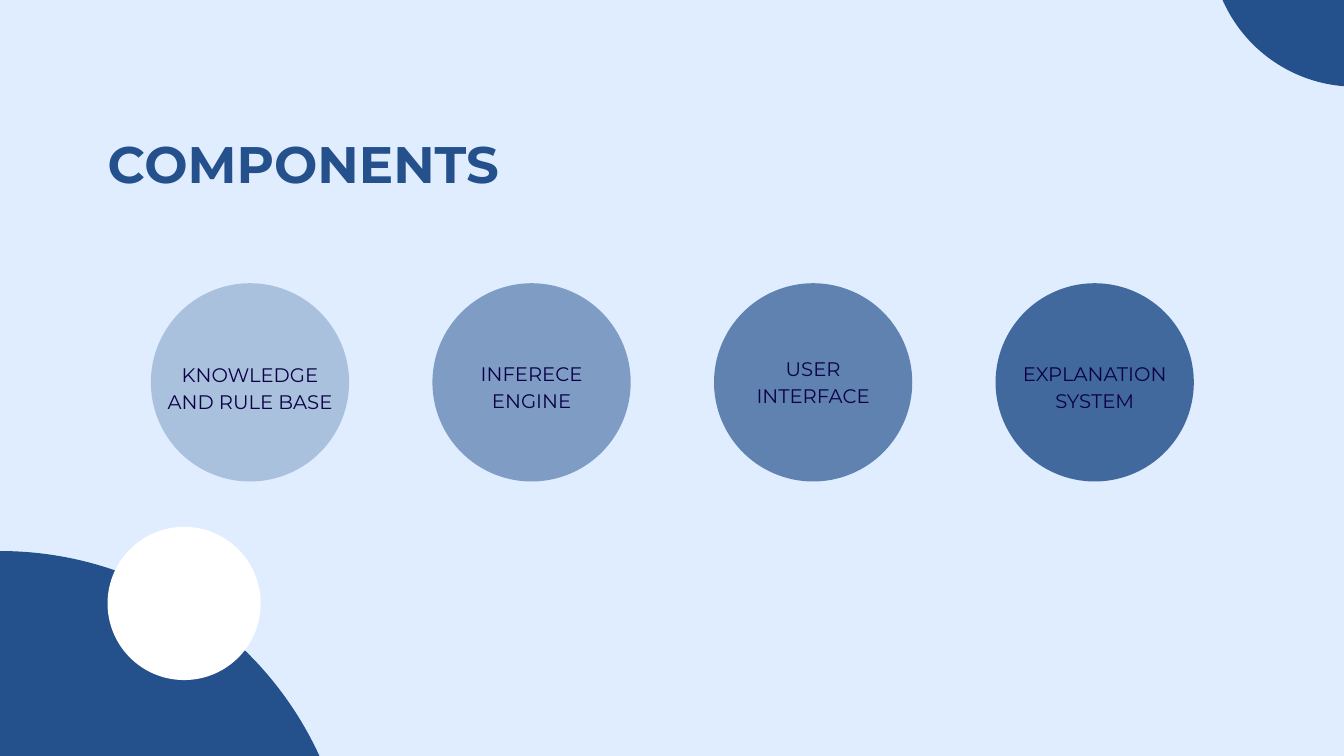
from lxml import etree
from pptx import Presentation, util as u
from pptx.dml.color import RGBColor
from pptx.enum import shapes, text
from pptx.oxml import ns

PALE = RGBColor(0xDF, 0xED, 0xFF)
BLUE = RGBColor(0x24, 0x50, 0x8C)
INK = RGBColor(0x0A, 0x01, 0x47)
WHITE = RGBColor(0xFF, 0xFF, 0xFF)

HEAD = {"size": u.Pt(55), "bold": True, "name": "Montserrat"}
BODY = {"size": u.Pt(21), "bold": False, "name": "Montserrat"}


class Deck:
    def __init__(self, wide, high):
        self.prs = Presentation()
        self.prs.slide_width = u.Inches(wide)
        self.prs.slide_height = u.Inches(high)

    def start(self, back):
        self.slide = self.prs.slides.add_slide(self.prs.slide_layouts[5])
        fill = self.slide.background.fill
        fill.solid()
        fill.fore_color.rgb = back

    def letter(self, frame, words, style, color, lead, align):
        """Set the words in a text frame, with lead as line height in points."""
        frame.word_wrap = True
        frame.auto_size = text.MSO_AUTO_SIZE.NONE
        frame.vertical_anchor = text.MSO_ANCHOR.TOP
        for side in ("left", "top", "right", "bottom"):
            setattr(frame, f"margin_{side}", 0)
        para = frame.paragraphs[0]
        para.alignment = align
        para.line_spacing = u.Pt(lead)
        para.space_before = u.Pt(0)
        run = para.add_run()
        run.text = words
        for key, value in style.items():
            setattr(run.font, key, value)
        run.font.color.rgb = color

    def title(self, words, left, top, wide, high):
        box = self.slide.shapes.title
        box.left, box.top = u.Inches(left), u.Inches(top)
        box.width, box.height = u.Inches(wide), u.Inches(high)
        self.letter(box.text_frame, words, HEAD, BLUE, 66, text.PP_ALIGN.LEFT)

    def label(self, words, mid, top, wide, high=0.8):
        box = self.slide.shapes.add_textbox(
            u.Inches(mid - wide / 2), u.Inches(top), u.Inches(wide), u.Inches(high))
        self.letter(box.text_frame, words, BODY, INK, 29.4, text.PP_ALIGN.CENTER)

    def disc(self, x, y, size, color, alpha=100):
        """Draw a circle centred on x, y; alpha is its opacity in percent."""
        oval = self.slide.shapes.add_shape(
            shapes.MSO_SHAPE.OVAL, u.Inches(x - size / 2), u.Inches(y - size / 2),
            u.Inches(size), u.Inches(size))
        oval.shadow.inherit = False
        oval.line.fill.background()
        oval.fill.solid()
        oval.fill.fore_color.rgb = color
        if alpha < 100:
            tint = oval.element.spPr.find(".//" + ns.qn("a:srgbClr"))
            etree.SubElement(tint, ns.qn("a:alpha"), val=str(alpha * 1000))


def main():
    deck = Deck(20, 11.25)
    deck.start(PALE)
    deck.title("COMPONENTS", 1.6, 1.96, 6.01, 0.91)

    deck.disc(20.17, -0.87, 4.32, BLUE)
    deck.disc(0, 13.43, 10.46, BLUE)
    deck.disc(2.74, 8.98, 2.28, WHITE)

    # words, opacity, label top, label width
    parts = [
        ("KNOWLEDGE AND RULE BASE", 28, 5.34, 2.56),
        ("INFERECE ENGINE", 51, 5.32, 2.38),
        ("USER INTERFACE", 68, 5.25, 2.22),
        ("EXPLANATION SYSTEM", 84, 5.32, 2.74),
    ]
    first, step = 3.72, 4.19
    for i, (words, alpha, top, wide) in enumerate(parts):
        mid = first + i * step
        deck.disc(mid, 5.69, 2.95, BLUE, alpha)
        deck.label(words, mid, top, wide)

    deck.prs.save("out.pptx")


if __name__ == "__main__":
    main()
